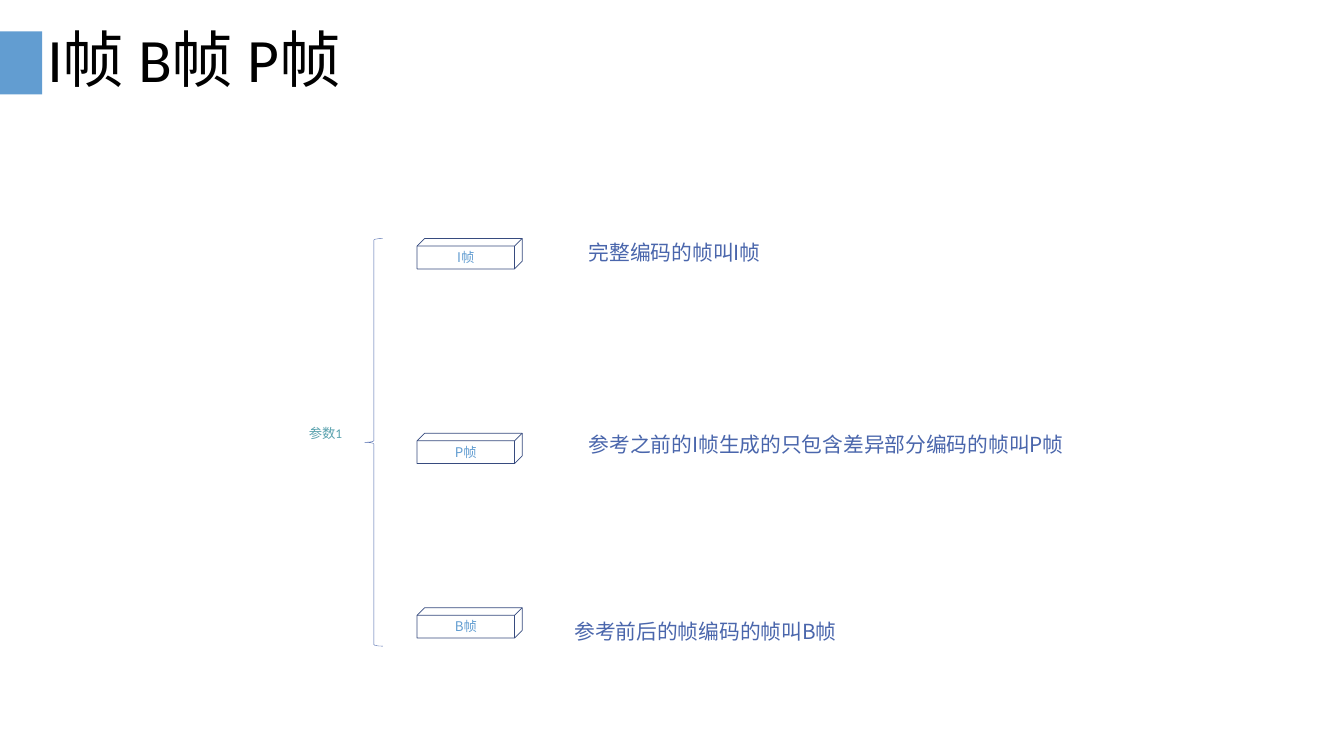
from lxml.etree import SubElement
from pptx import Presentation
from pptx.dml.color import RGBColor
from pptx.enum.shapes import MSO_SHAPE
from pptx.enum.text import MSO_ANCHOR, MSO_AUTO_SIZE, PP_ALIGN
from pptx.oxml.ns import qn
from pptx.util import Inches, Pt

COLORS = {"black": "000000", "sky": "629DD1", "teal": "5AA2AE",
          "blue": "4A66AC", "navy": "374B7F"}
CJK = "Noto Sans CJK SC"
INSETS = ("margin_left", "margin_top", "margin_right", "margin_bottom")


def apply(obj, values):
    for name, value in values.items():
        setattr(obj, name, value)


class Deck:
    def __init__(self, width, height):
        self.prs = Presentation()
        apply(self.prs, {"slide_width": Inches(width), "slide_height": Inches(height)})
        self.s = self.prs.slides.add_slide(self.prs.slide_layouts[5])

    def box(self, x, y, w, h):
        col, row = self.prs.slide_width / 100, self.prs.slide_height / 100
        return [round(v) for v in (x * col, y * row, w * col, h * row)]

    def fill_text(self, tf, text, size, color, font=CJK, frame={}, para={}):
        apply(tf, {"word_wrap": True, **frame})
        p = tf.paragraphs[0]
        apply(p, para)
        r = p.add_run()
        r.text = text
        apply(r.font, {"size": Pt(size), "name": font})
        r.font.color.rgb = RGBColor.from_string(COLORS[color])
        SubElement(r.font._element, qn("a:ea"), typeface=CJK)

    def title(self, text, *grid):
        sp = self.s.shapes.title
        apply(sp, dict(zip(("left", "top", "width", "height"), self.box(*grid))))
        self.fill_text(sp.text_frame, text, 83.2, "black", "Calibri",
                       {"vertical_anchor": MSO_ANCHOR.MIDDLE, "auto_size": MSO_AUTO_SIZE.NONE},
                       {"alignment": PP_ALIGN.LEFT, "line_spacing": 0.9})

    def shape(self, kind, *grid, fill=None, line=None, weight=1):
        sp = self.s.shapes.add_shape(kind, *self.box(*grid))
        sp.shadow.inherit = False
        for part, color in ((sp.fill, fill), (sp.line.fill, line)):
            if color:
                part.solid()
                part.fore_color.rgb = RGBColor.from_string(COLORS[color])
            else:
                part.background()
        if line:
            sp.line.width = Pt(weight)
        return sp

    def cube(self, text, *grid):
        sp = self.shape(MSO_SHAPE.CUBE, *grid, line="navy")
        self.fill_text(sp.text_frame, text, 18, "sky",
                       frame={"vertical_anchor": MSO_ANCHOR.MIDDLE},
                       para={"alignment": PP_ALIGN.CENTER})

    def text(self, text, *grid, size, color, font=CJK, spacing=1.0):
        sp = self.s.shapes.add_textbox(*self.box(*grid))
        frame = {"auto_size": MSO_AUTO_SIZE.SHAPE_TO_FIT_TEXT,
                 **dict.fromkeys(INSETS, Inches(0.05))}
        self.fill_text(sp.text_frame, text, size, color, font, frame,
                       {"line_spacing": spacing})


def main():
    deck = Deck(25.2, 14.17)
    deck.shape(MSO_SHAPE.RECTANGLE, 0, 4.16, 3.13, 8.33, fill="sky")
    deck.title("I帧 B帧 P帧", 3.13, 4.02, 93.73, 8.47)
    deck.text("参数1", 22.78, 55.89, 4.72, 3.53, size=18, color="teal", font="Calibri")
    deck.shape(MSO_SHAPE.LEFT_BRACE, 27.14, 31.55, 1.35, 53.92, line="blue", weight=0.5)
    frames = [
        ("I帧", 31.55, "完整编码的帧叫I帧", 43.61, 29.71, 17.54),
        ("P帧", 57.3, "参考之前的I帧生成的只包含差异部分编码的帧叫P帧", 43.61, 55.12, 46),
        ("B帧", 80.38, "参考前后的帧编码的帧叫B帧", 42.54, 79.82, 46),
    ]
    for name, cube_y, meaning, x, y, w in frames:
        deck.cube(name, 31.03, cube_y, 7.82, 4.02)
        deck.text(meaning, x, y, w, 5.15, size=28, color="blue", spacing=1.5)
    deck.prs.save("out.pptx")


if __name__ == "__main__":
    main()
